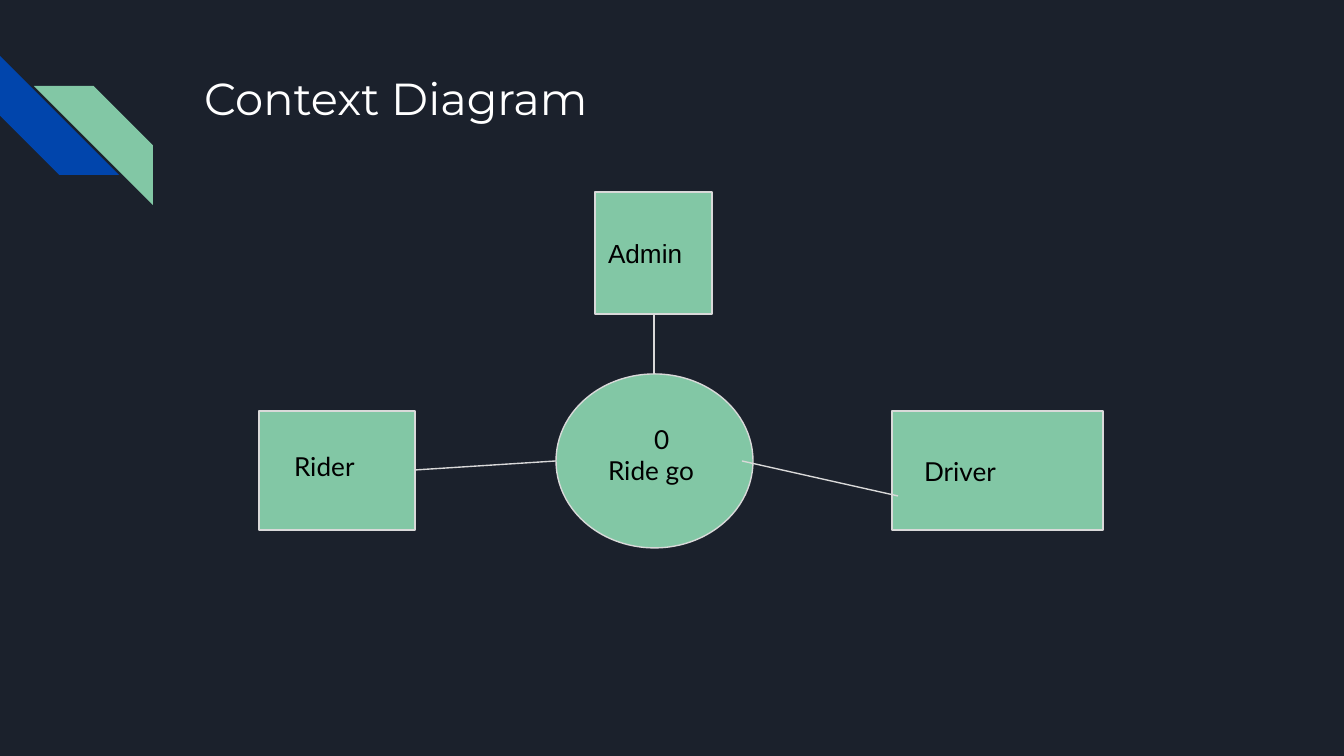
"""Builds the Context Diagram slide: a central process linked to three actors."""
import pptx
import pptx.dml.color
import pptx.enum.shapes
import pptx.enum.text
import pptx.oxml
import pptx.oxml.ns
import pptx.util

RGB = pptx.dml.color.RGBColor
SHAPE = pptx.enum.shapes.MSO_SHAPE
ANCHOR = pptx.enum.text.MSO_ANCHOR
NAVY = RGB(0x1B, 0x21, 0x2C)
BLUE = RGB(0x01, 0x45, 0xAC)
GREEN = RGB(0x82, 0xC7, 0xA5)
GREY = RGB(0xD9, 0xD9, 0xD9)
WHITE = RGB(0xFF, 0xFF, 0xFF)
BLACK = RGB(0, 0, 0)

SCALE = 914400 / 134.4
SLIDE_SIZE = (1344, 756)
INSET = 13
STRIPE_SIZE = 119
LABEL_SIZE = 14

TITLE = ("Context Diagram", (191, 58, 1035, 134))
STRIPES = [
    {"corner": (0, 56), "color": BLUE, "rotation": 270, "flip": False},
    {"corner": (34, 86), "color": GREEN, "rotation": 0, "flip": True},
]
PROCESS = (556, 374, 197, 174)
RIDER = (259, 411, 156, 119)
DRIVER = (892, 411, 211, 119)
ADMIN = (595, 192, 117, 122)
NODES = [
    (SHAPE.OVAL, PROCESS),
    (SHAPE.RECTANGLE, RIDER),
    (SHAPE.RECTANGLE, DRIVER),
]
LINKS = [
    ((415, 470), (556, 461)),
    ((742, 461), (898, 496)),
    ((654, 314), (654, 374)),
]
LABELS = [
    ([("0", 46), ("Ride go", 0)], (595, 410, 226, 122)),
    ([("Rider", 0)], (281, 437, 204, 59)),
    ([("Driver", 0)], (911, 442, 204, 90)),
]


def emu(px):
    return pptx.util.Emu(round(px * SCALE))


def place(box):
    return [emu(px) for px in box]


def write(frame, lines, size, font, color, anchor=ANCHOR.TOP):
    frame.word_wrap = True
    frame.vertical_anchor = anchor
    frame.margin_left = frame.margin_right = emu(INSET)
    frame.margin_top = frame.margin_bottom = emu(INSET)
    for index, (text, indent) in enumerate(lines):
        paragraph = frame.add_paragraph() if index else frame.paragraphs[0]
        paragraph.alignment = pptx.enum.text.PP_ALIGN.LEFT
        if indent:
            paragraph._p.get_or_add_pPr().set("marL", str(emu(indent)))
        run = paragraph.add_run()
        run.text = text
        run.font.size = pptx.util.Pt(size)
        run.font.name = font
        run.font.color.rgb = color


def add_filled(slide, kind, box, color):
    shape = slide.shapes.add_shape(kind, *place(box))
    shape.shadow.inherit = False
    shape.fill.solid()
    shape.fill.fore_color.rgb = color
    return shape


def add_stripe(slide, corner, color, rotation, flip):
    box = (*corner, STRIPE_SIZE, STRIPE_SIZE)
    stripe = add_filled(slide, SHAPE.DIAGONAL_STRIPE, box, color)
    stripe.line.fill.background()
    stripe.rotation = rotation
    if flip:
        stripe._element.spPr.find(pptx.oxml.ns.qn("a:xfrm")).set("flipH", "1")


def outline(line):
    line.color.rgb = GREY
    line.width = pptx.util.Pt(0.75)


def add_node(slide, kind, box):
    node = add_filled(slide, kind, box, GREEN)
    outline(node.line)
    return node


def add_link(slide, start, end):
    link = slide.shapes.add_connector(
        pptx.enum.shapes.MSO_CONNECTOR.STRAIGHT, *place(start + end))
    outline(link.line)
    link._element.spPr.append(pptx.oxml.parse_xml(
        f'<a:effectLst {pptx.oxml.ns.nsdecls("a")}/>'))


def main():
    deck = pptx.Presentation()
    deck.slide_width, deck.slide_height = place(SLIDE_SIZE)
    slide = deck.slides.add_slide(deck.slide_layouts[5])
    slide.background.fill.solid()
    slide.background.fill.fore_color.rgb = NAVY

    for stripe in STRIPES:
        add_stripe(slide, **stripe)

    heading, box = TITLE
    title = slide.shapes.title
    title.left, title.top, title.width, title.height = place(box)
    write(title.text_frame, [(heading, 0)], 24, "Montserrat", WHITE)

    for kind, box in NODES:
        add_node(slide, kind, box)
    admin = add_node(slide, SHAPE.RECTANGLE, ADMIN)
    write(admin.text_frame, [("Admin", 0)], LABEL_SIZE, "Arial", BLACK, ANCHOR.MIDDLE)

    for start, end in LINKS:
        add_link(slide, start, end)
    for lines, box in LABELS:
        label = slide.shapes.add_textbox(*place(box))
        write(label.text_frame, lines, LABEL_SIZE, "Lato", BLACK)

    deck.save("out.pptx")


if __name__ == "__main__":
    main()
